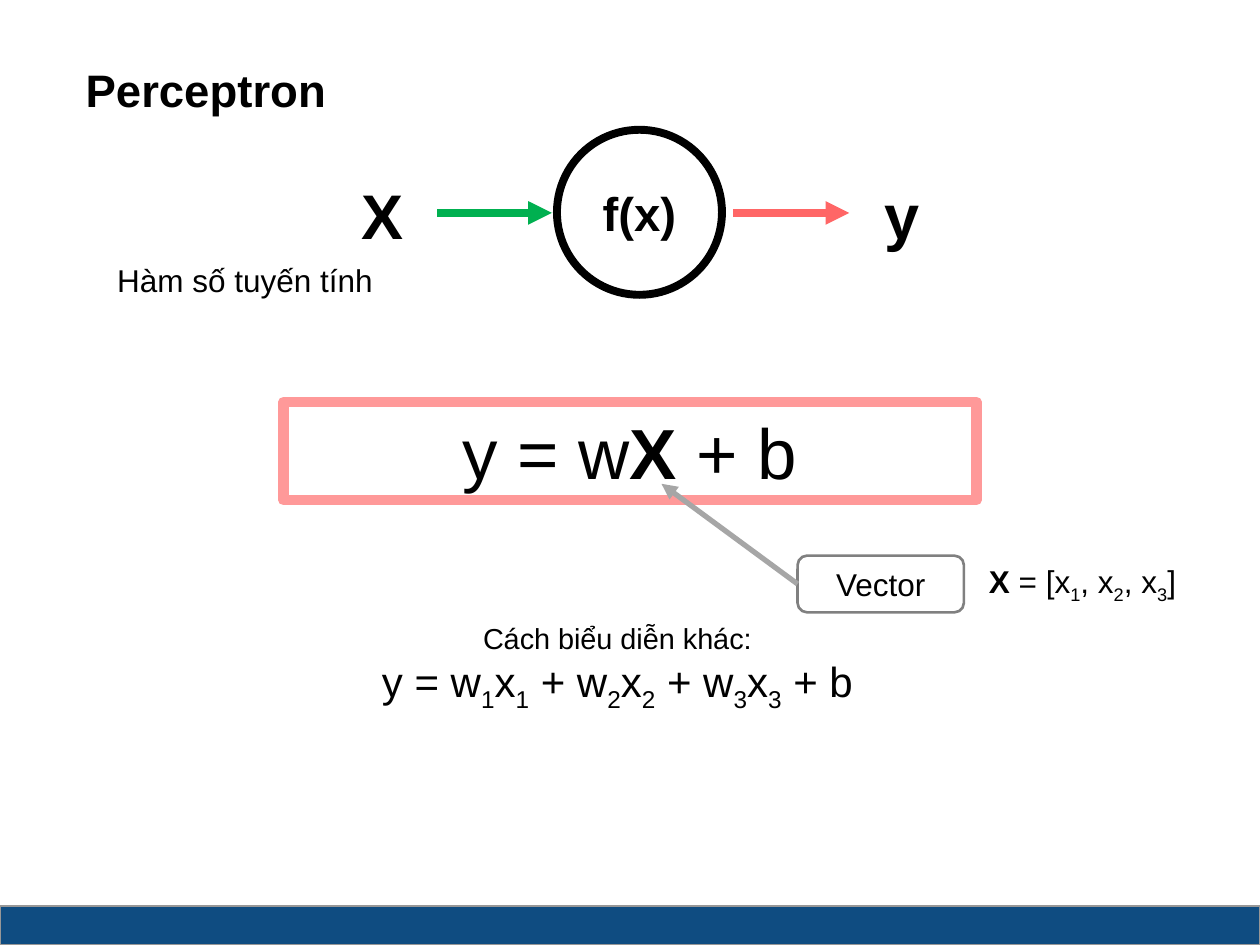
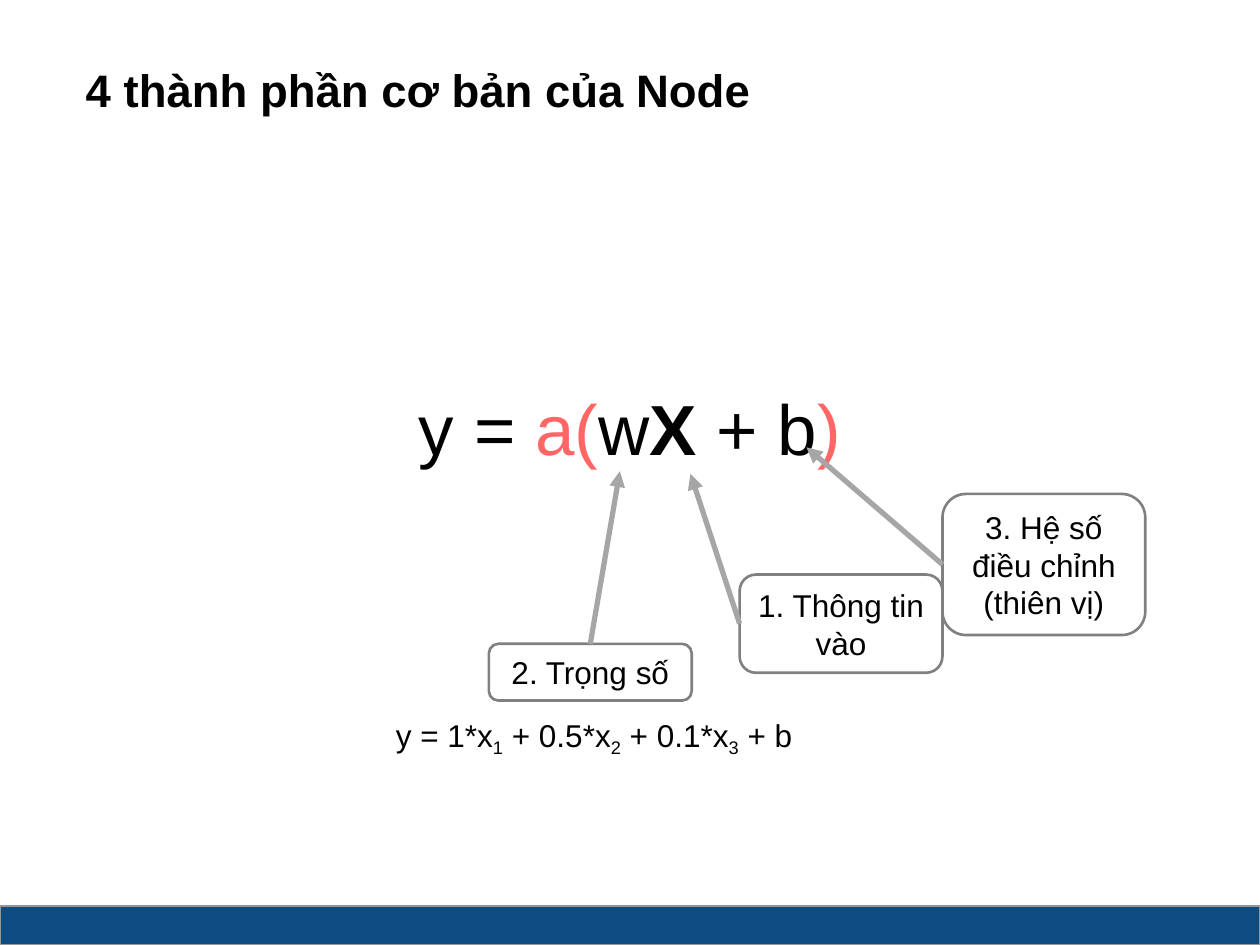
import pptx
import pptx.dml.color
import pptx.enum.shapes
import pptx.enum.text
import pptx.oxml
import pptx.oxml.ns
import pptx.util
from dataclasses import dataclass

Inches = pptx.util.Inches
Pt = pptx.util.Pt
Shapes = pptx.enum.shapes.MSO_SHAPE
Align = pptx.enum.text.PP_ALIGN
Anchor = pptx.enum.text.MSO_ANCHOR


@dataclass(frozen=True)
class Theme:
    font: str = "Arial"
    ink: str = "000000"
    paper: str = "FFFFFF"
    band: str = "0F4C81"
    band_line: str = "979797"
    coral: str = "FF6666"
    pink: str = "FF9999"
    green: str = "00B050"
    callout_line: str = "808080"
    pointer: str = "A6A6A6"
    title: float = 26
    formula: float = 40.5
    variable: float = 36
    node: float = 27
    expansion: float = 24
    body: float = 18
    caption: float = 16.5
    lead: float = 3


THEME = Theme()
FORMULA_SIZE = (5.5, 0.78)

PERCEPTRON = {
    "title": "Perceptron",
    "function": "f(x)",
    "variables": [("X", 2.16), ("y", 6.28)],
    "flow": [((3.47, 1.69), (4.38, 1.69), THEME.green),
             ((5.82, 1.69), (6.74, 1.69), THEME.coral)],
    "subtitle": "Hàm số tuyến tính",
    "formula": [("y = w", ""), ("X", "bold"), (" + b", "")],
    "callouts": [("Vector", (6.33, 4.41, 1.32, 0.45), "left", (5.25, 3.84))],
    "vector": [("X ", "bold"), ("= [x", ""), ("1", "sub"), (", x", ""), ("2", "sub"),
               (", x", ""), ("3", "sub"), ("]", "")],
    "caption": "Cách biểu diễn khác:",
    "expansion": [("y = w", ""), ("1", "sub"), ("x", ""), ("1", "sub"),
                  (" + w", ""), ("2", "sub"), ("x", ""), ("2", "sub"),
                  (" + w", ""), ("3", "sub"), ("x", ""), ("3", "sub"), (" + b", "")],
}

NODE_PARTS = {
    "title": "4 thành phần cơ bản của Node",
    "formula": [("y = ", ""), ("a(", "accent"), ("w", ""), ("X", "bold"),
                (" + b", ""), (")", "accent")],
    "callouts": [
        ("1. Thông tin vào", (5.87, 4.56, 1.61, 0.78), "left", (5.48, 3.76)),
        ("2. Trọng số", (3.88, 5.11, 1.61, 0.45), "top", (4.92, 3.74)),
        ("3. Hệ số điều chỉnh (thiên vị)", (7.48, 3.92, 1.61, 1.12), "left", (6.4, 3.55)),
    ],
    "example": [("y = 1*x", ""), ("1", "sub"), (" + 0.5*x", ""), ("2", "sub"),
                (" + 0.1*x", ""), ("3", "sub"), (" + b", "")],
}


def color(code):
    return pptx.dml.color.RGBColor.from_string(code)


def lengths(values):
    return [Inches(value) for value in values]


def write(paragraph, runs, size, bold=False, align=Align.CENTER, lead=0):
    paragraph.alignment = align
    paragraph.space_before = Pt(lead)
    if isinstance(runs, str):
        runs = [(runs, "")]
    for text, style in runs:
        run = paragraph.add_run()
        run.text = text
        run.font.name = THEME.font
        run.font.size = Pt(size)
        run.font.bold = bold or style == "bold"
        run.font.color.rgb = color(THEME.coral if style == "accent" else THEME.ink)
        if style == "sub":
            run.font._element.set("baseline", "-25000")


def set_margins(frame, horizontal, vertical):
    frame.margin_left = frame.margin_right = Inches(horizontal)
    frame.margin_top = frame.margin_bottom = Inches(vertical)


def add_text(slide, box, runs, size, wrap=True, **style):
    frame = slide.shapes.add_textbox(*lengths(box)).text_frame
    frame.word_wrap = wrap
    write(frame.paragraphs[0], runs, size, **style)
    return frame


def add_shape(slide, kind, box, line, width, fill=None):
    shape = slide.shapes.add_shape(kind, *lengths(box))
    shape.shadow.inherit = False
    if fill:
        shape.fill.solid()
        shape.fill.fore_color.rgb = color(fill)
    else:
        shape.fill.background()
    shape.line.color.rgb = color(line)
    shape.line.width = Pt(width)
    return shape


def add_arrow(slide, start, end, line, width):
    arrow = slide.shapes.add_connector(
        pptx.enum.shapes.MSO_CONNECTOR.STRAIGHT, *lengths(start + end))
    arrow.line.color.rgb = color(line)
    arrow.line.width = Pt(width)
    tail = pptx.oxml.parse_xml(f'<a:tailEnd {pptx.oxml.ns.nsdecls("a")} type="triangle"/>')
    arrow.line._get_or_add_ln().append(tail)
    effects = pptx.oxml.parse_xml(f'<a:effectLst {pptx.oxml.ns.nsdecls("a")}/>')
    arrow._element.spPr.append(effects)


def add_callouts(slide, callouts):
    for label, box, side, target in callouts:
        left, top, width, height = box
        shape = add_shape(slide, Shapes.ROUNDED_RECTANGLE, box,
                          THEME.callout_line, 1.5, THEME.paper)
        write(shape.text_frame.paragraphs[0], label, THEME.body)
        start = (left, top + height / 2) if side == "left" else (left + width / 2, top)
        add_arrow(slide, start, target, THEME.pointer, 3)


def add_titled_slide(presentation, title):
    slide = presentation.slides.add_slide(presentation.slide_layouts[5])
    add_shape(slide, Shapes.RECTANGLE, (0, 7.19, 10, 0.31), THEME.band_line, 1, THEME.band)
    placeholder = slide.shapes.title
    placeholder.left, placeholder.top, placeholder.width, placeholder.height = lengths(
        (0.67, 0.48, 8.66, 0.96))
    frame = placeholder.text_frame
    frame.auto_size = pptx.enum.text.MSO_AUTO_SIZE.NONE
    frame.vertical_anchor = Anchor.TOP
    set_margins(frame, 0.01, 0.01)
    write(frame.paragraphs[0], title, THEME.title, bold=True, align=Align.LEFT, lead=THEME.lead)
    return slide


def build_perceptron(presentation, content):
    slide = add_titled_slide(presentation, content["title"])
    formula = add_shape(slide, Shapes.RECTANGLE, (2.25, 3.19, *FORMULA_SIZE), THEME.pink, 6)
    write(formula.text_frame.paragraphs[0], content["formula"], THEME.formula)
    subtitle = add_text(slide, (0.92, 2.06, 8.66, 0.33), content["subtitle"], THEME.body,
                        align=Align.LEFT, lead=THEME.lead)
    set_margins(subtitle, 0.01, 0.01)
    add_callouts(slide, content["callouts"])
    expansion = add_text(slide, (2.15, 4.88, *FORMULA_SIZE), content["caption"], THEME.caption)
    write(expansion.add_paragraph(), content["expansion"], THEME.expansion)
    add_text(slide, (7.75, 4.41, 2.25, 0.4), content["vector"], THEME.body, align=Align.LEFT)
    node = add_shape(slide, Shapes.OVAL, (4.42, 1.03, 1.31, 1.31), THEME.ink, 4.5)
    set_margins(node.text_frame, 0.07, 0.04)
    write(node.text_frame.paragraphs[0], content["function"], THEME.node,
          bold=True, lead=THEME.lead)
    for start, end, line in content["flow"]:
        add_arrow(slide, start, end, line, 4.5)
    for label, left in content["variables"]:
        add_text(slide, (left, 1.35, 1.75, 0.71), label, THEME.variable, bold=True)


def build_node_parts(presentation, content):
    slide = add_titled_slide(presentation, content["title"])
    add_text(slide, (2.25, 3, *FORMULA_SIZE), content["formula"], THEME.formula)
    add_callouts(slide, content["callouts"])
    add_text(slide, (3.01, 5.63, 3.41, 0.4), content["example"], THEME.body, wrap=False)


def main():
    presentation = pptx.Presentation()
    presentation.slide_width, presentation.slide_height = lengths((10, 7.5))
    build_perceptron(presentation, PERCEPTRON)
    build_node_parts(presentation, NODE_PARTS)
    presentation.save("out.pptx")


if __name__ == "__main__":
    main()
